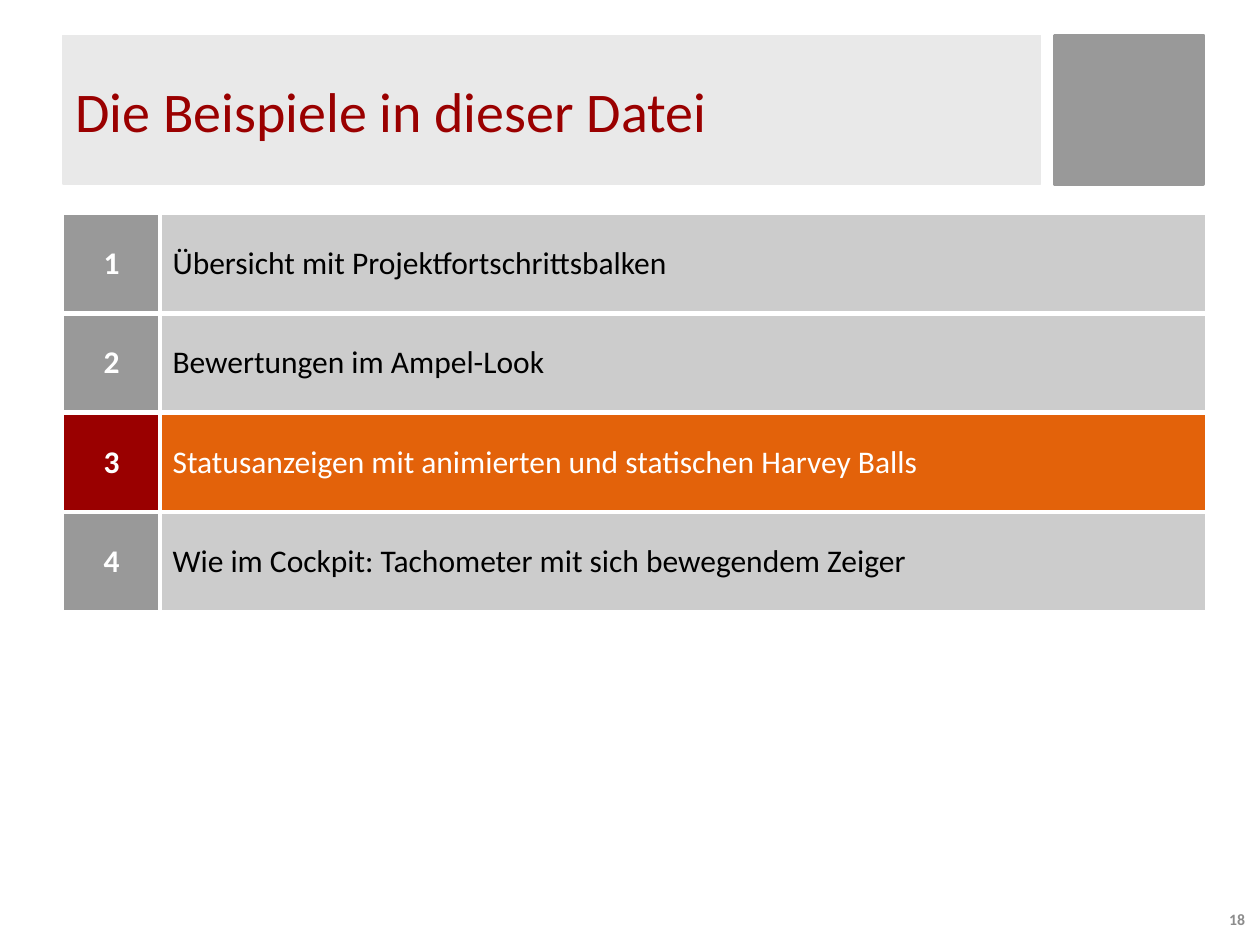
import pptx
import pptx.util
import pptx.dml.color
import pptx.enum.shapes
import pptx.enum.text
import pptx.oxml
import pptx.oxml.ns
from dataclasses import dataclass

Inches = pptx.util.Inches
Pt = pptx.util.Pt
Align = pptx.enum.text.PP_ALIGN
Anchor = pptx.enum.text.MSO_ANCHOR


@dataclass(frozen=True)
class Theme:
    """Colours, font and type sizes of the slide."""
    font: str = "Calibri"
    red: str = "9A0000"
    orange: str = "E3620A"
    grey: str = "999999"
    silver: str = "CCCCCC"
    pale: str = "E9E9E9"
    dim: str = "8C8C8C"
    white: str = "FFFFFF"
    black: str = "000000"
    head: int = 32
    body: int = 18
    small: int = 9


THEME = Theme()
TOPICS = (
    "Übersicht mit Projektfortschrittsbalken",
    "Bewertungen im Ampel-Look",
    "Statusanzeigen mit animierten und statischen Harvey Balls",
    "Wie im Cockpit: Tachometer mit sich bewegendem Zeiger",
)
ACTIVE = 2


def rgb(code):
    """Turn a hex code into a colour."""
    return pptx.dml.color.RGBColor.from_string(code)


def write(frame, text, size, color, align=Align.LEFT, bold=False):
    """Set one line of styled text in a frame."""
    frame.text = text
    frame.word_wrap = True
    frame.vertical_anchor = Anchor.MIDDLE
    para = frame.paragraphs[0]
    para.alignment = align
    font = para.runs[0].font
    font.name, font.size, font.bold = THEME.font, Pt(size), bold
    font.color.rgb = rgb(color)


def block(slide, box, color, width):
    """Add a plain rectangle in one colour."""
    kind = pptx.enum.shapes.MSO_SHAPE.RECTANGLE
    shape = slide.shapes.add_shape(kind, *map(Inches, box))
    shape.shadow.inherit = False
    shape.fill.solid()
    shape.fill.fore_color.rgb = rgb(color)
    shape.line.color.rgb = rgb(color)
    shape.line.width = Pt(width)
    return shape


def header(slide, box):
    """Place the title bar and the square at its right."""
    left, top, width, height = box
    gap = 0.11
    block(slide, (left + width - height, top, height, height), THEME.grey, 2)
    bar = block(slide, (left, top, width - height - gap, height), THEME.pale, 0.75)
    write(bar.text_frame, "Die Beispiele in dieser Datei", THEME.head, THEME.red)


def edge(cell, widths):
    """Draw white cell borders in the order left, right, top, bottom."""
    props = cell._tc.get_or_add_tcPr()
    for spot, (side, width) in enumerate(zip("LRTB", widths)):
        line = pptx.oxml.parse_xml(
            f'<a:ln{side} {pptx.oxml.ns.nsdecls("a")} w="{Pt(width)}">'
            f'<a:solidFill><a:srgbClr val="{THEME.white}"/></a:solidFill></a:ln{side}>')
        props.insert(spot, line)


def agenda(slide, box):
    """Place the numbered topics with the active one marked."""
    left, top, width, height = box
    count, first = len(TOPICS), 0.77
    frame = slide.shapes.add_table(count, 2, *map(Inches, box))
    table = frame.table
    table.first_row = table.horz_banding = False
    table.columns[0].width = Inches(first)
    table.columns[1].width = Inches(width - first)
    for row, topic in enumerate(TOPICS):
        table.rows[row].height = Inches(height / count)
        live = row == ACTIVE
        parts = (
            (str(row + 1), THEME.red if live else THEME.grey, THEME.white, Align.CENTER),
            (topic, THEME.orange if live else THEME.silver,
             THEME.white if live else THEME.black, Align.LEFT),
        )
        for col, (text, fill, color, align) in enumerate(parts):
            cell = table.cell(row, col)
            cell.fill.solid()
            cell.fill.fore_color.rgb = rgb(fill)
            cell.vertical_anchor = Anchor.MIDDLE
            write(cell.text_frame, text, THEME.body, color, align, col == 0)
            cell.vertical_anchor = Anchor.MIDDLE
            outer = (col == 0, col == 1, row == 0, row == count - 1)
            edge(cell, [1 if rim else 3 for rim in outer])


def footer(slide, box):
    """Place the page number."""
    label = slide.shapes.add_textbox(*map(Inches, box))
    write(label.text_frame, "18", THEME.small, THEME.dim, Align.RIGHT, True)


def main():
    """Build and save the slide."""
    deck = pptx.Presentation()
    deck.slide_width, deck.slide_height = Inches(10), Inches(7.5)
    slide = deck.slides.add_slide(deck.slide_layouts[6])
    header(slide, (0.5, 0.28, 9.05, 1.18))
    agenda(slide, (0.5, 1.7, 9.07, 3.15))
    footer(slide, (9.18, 7.14, 0.8, 0.31))
    deck.save("out.pptx")


if __name__ == "__main__":
    main()
